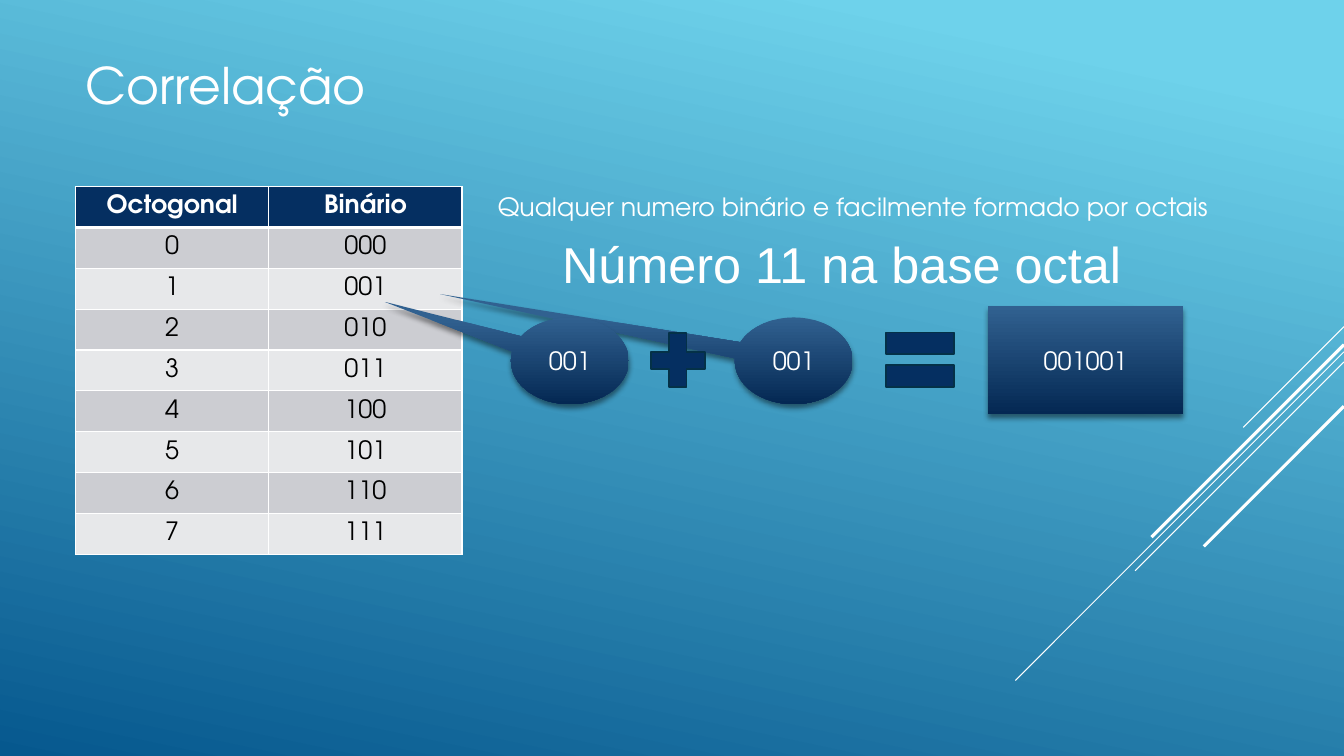
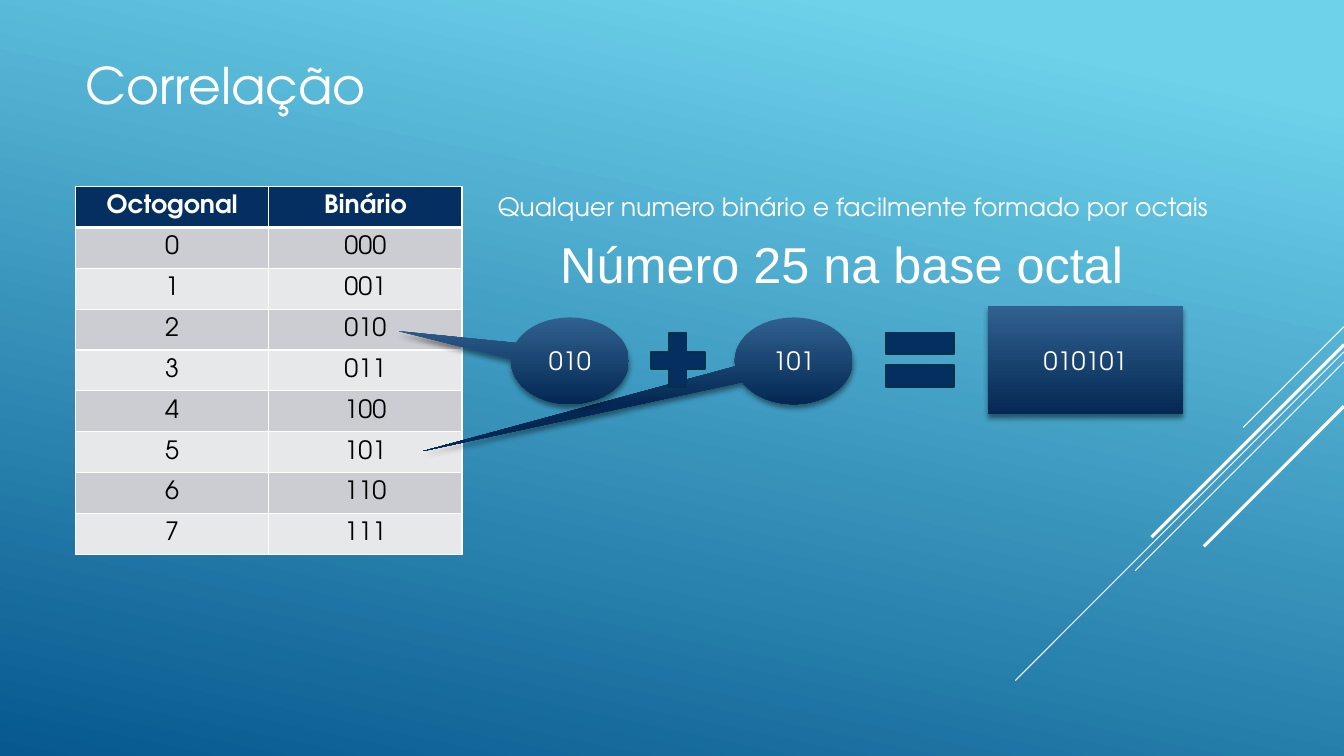
from pptx import Presentation
from pptx.dml.color import RGBColor
from pptx.enum.shapes import MSO_CONNECTOR, MSO_SHAPE
from pptx.enum.text import MSO_ANCHOR, MSO_AUTO_SIZE, PP_ALIGN
from pptx.oxml import parse_xml
from pptx.oxml.ns import nsdecls, qn
from pptx.util import Pt

LEFT, CENTER = PP_ALIGN.LEFT, PP_ALIGN.CENTER
MIDDLE, BOTTOM = MSO_ANCHOR.MIDDLE, MSO_ANCHOR.BOTTOM
NO_FIT, GROW = MSO_AUTO_SIZE.NONE, MSO_AUTO_SIZE.SHAPE_TO_FIT_TEXT
CALLOUT, RECTANGLE = MSO_SHAPE.OVAL_CALLOUT, MSO_SHAPE.RECTANGLE
PLUS, EQUAL = MSO_SHAPE.MATH_PLUS, MSO_SHAPE.MATH_EQUAL
STRAIGHT = MSO_CONNECTOR.STRAIGHT

COLORS = {
    "white": "FFFFFF", "black": "000000", "navy": "052F61", "outline": "043148",
    "sky": "6ED2EB", "sea": "06588E", "shape top": "316190", "shape bottom": "042853",
    "band dark": "CCCDD2", "band light": "E7E8EA",
}
RGB = {name: RGBColor.from_string(value) for name, value in COLORS.items()}
FONT = "TeX Gyre Adventor"
WIDTH, HEIGHT = 960, 540
MARGIN = 54
TABLE_TOP, COLUMN_WIDTH, ROW_HEIGHT = 133.2, 138, 29.2
CALLOUT_TOP, CALLOUT_WIDTH, CALLOUT_HEIGHT = 226.8, 84.2, 61.9

# Diagonals: start height on the right edge, extent, line width
DIAGONALS = [(233.3, 72, 0.75), (251.3, 234.7, 0.75), (258.5, 149.2, 0.75),
             (246.2, 137.5, 2.25), (290.2, 100.1, 2.25)]
OPERATORS = [(PLUS, 457.9, 231.1, 52.6), (EQUAL, 624.2, 223.9, 66.2)]

# Octal number, then the callout tips for its first and second digit
EXAMPLES = [("11", (-1.577, -0.683), (-3.003, -0.771)),
            ("25", (-1.449, -0.342), (-3.148, 1.043))]


def write(text_frame, text, align=CENTER, anchor=MIDDLE, **font_values):
    text_frame.vertical_anchor = anchor
    paragraph = text_frame.paragraphs[0]
    paragraph.alignment = align
    run = paragraph.add_run()
    run.text = text
    values = {"name": FONT, "size": Pt(18), "bold": False} | font_values
    run.font.color.rgb = RGB[values.pop("color", "white")]
    for name, value in values.items():
        setattr(run.font, name, value)


def paint_gradient(fill, colors, angle, start=0):
    """Fill between two colours; the angle runs counter-clockwise."""
    fill.gradient()
    fill.gradient_angle = angle
    for stop, color, position in zip(fill.gradient_stops, colors, (start, 1)):
        stop.color.rgb = RGB[color]
        stop.position = position


presentation = Presentation()
presentation.slide_width, presentation.slide_height = Pt(WIDTH), Pt(HEIGHT)
master = presentation.slide_master
layout = presentation.slide_layouts.get_by_name("Title Only")
slides = [presentation.slides.add_slide(layout) for _ in EXAMPLES]

# Shared background and diagonals
paint_gradient(master.background.fill, ("sky", "sea"), 258, 0.1)
for number, (top, extent, width) in enumerate(DIAGONALS):
    line = slides[0].shapes.add_connector(
        STRAIGHT, Pt(WIDTH), Pt(top), Pt(WIDTH - extent), Pt(top + extent))
    line.line.color.rgb = RGB["white"]
    line.line.width = Pt(width)
    line.element.spPr.append(parse_xml(f"<a:effectLst {nsdecls('a')}/>"))
    line.element.nvCxnSpPr.cNvPr.set("id", str(100 + number))
    master.shapes.element.append(line.element)

# Shared title place
for name, value in {"left": MARGIN, "top": 23, "width": 672, "height": 62.6}.items():
    setattr(layout.placeholders[0], name, Pt(value))

for slide, (octal, *tips) in zip(slides, EXAMPLES):
    shapes = slide.shapes
    title_frame = shapes.title.text_frame
    title_frame.auto_size = NO_FIT
    write(title_frame, "Correlação", LEFT, BOTTOM, size=Pt(36))

    # Conversion table
    rows = [("Octogonal", "Binário")] + [(str(digit), f"{digit:03b}") for digit in range(8)]
    table = shapes.add_table(len(rows), 2, Pt(MARGIN), Pt(TABLE_TOP), Pt(2 * COLUMN_WIDTH),
                             Pt(ROW_HEIGHT * len(rows))).table
    for row_index, row in enumerate(rows):
        header = row_index == 0
        band = "navy" if header else ("band light", "band dark")[row_index % 2]
        borders = {"L": 1, "R": 1, "T": 3 if row_index == 1 else 1, "B": 3 if header else 1}
        for column_index, text in enumerate(row):
            cell = table.cell(row_index, column_index)
            properties = cell._tc.get_or_add_tcPr()
            for side, width in borders.items():
                properties.append(parse_xml(
                    f'<a:ln{side} {nsdecls("a")} w="{Pt(width)}"><a:solidFill>'
                    f'<a:srgbClr val="{COLORS["white"]}"/></a:solidFill></a:ln{side}>'))
            cell.fill.solid()
            cell.fill.fore_color.rgb = RGB[band]
            cell.vertical_anchor = MIDDLE
            write(cell.text_frame, text, bold=header, color="white" if header else "black")

    # Callouts and result; the second callout lies behind the first
    first, second = (f"{int(digit):03b}" for digit in octal)
    callout_box = (CALLOUT_TOP, CALLOUT_WIDTH, CALLOUT_HEIGHT)
    for preset, text, box, tip in [
        (CALLOUT, second, (524.9, *callout_box), tips[1]),
        (CALLOUT, first, (365, *callout_box), tips[0]),
        (RECTANGLE, first + second, (705.6, 218.9, 139.7, 77), ()),
    ]:
        shape = shapes.add_shape(preset, *map(Pt, box))
        for index, value in enumerate(tip):
            shape.adjustments[index] = value
        paint_gradient(shape.fill, ("shape top", "shape bottom"), 270)
        shape.line.fill.background()
        shape.shadow.inherit = False
        shape.element.spPr.find(qn("a:effectLst")).append(parse_xml(
            f'<a:outerShdw {nsdecls("a")} blurRad="{Pt(4)}" dist="{Pt(3)}" dir="5400000" '
            f'rotWithShape="0"><a:srgbClr val="{COLORS["black"]}"><a:alpha val="46000"/>'
            '</a:srgbClr></a:outerShdw>'))
        write(shape.text_frame, text)

    for preset, left, top, size in OPERATORS:
        operator = shapes.add_shape(preset, Pt(left), Pt(top), Pt(size), Pt(size))
        operator.fill.solid()
        operator.fill.fore_color.rgb = RGB["navy"]
        operator.line.color.rgb = RGB["outline"]
        operator.line.width = Pt(1.25)
        operator.shadow.inherit = False

    # Statement and example heading
    for text, box, font_values in [
        ("Qualquer numero binário e facilmente formado por octais",
         (344.9, 133.2, 528.5, 28.8), {}),
        (f"Número {octal} na base octal", (392, 162.7, 418.5, 51.1),
         {"name": "Arial", "size": Pt(36)}),
    ]:
        text_frame = shapes.add_textbox(*map(Pt, box)).text_frame
        text_frame.word_wrap = False
        text_frame.auto_size = GROW
        write(text_frame, text, anchor=MSO_ANCHOR.TOP, **font_values)

presentation.save("out.pptx")
